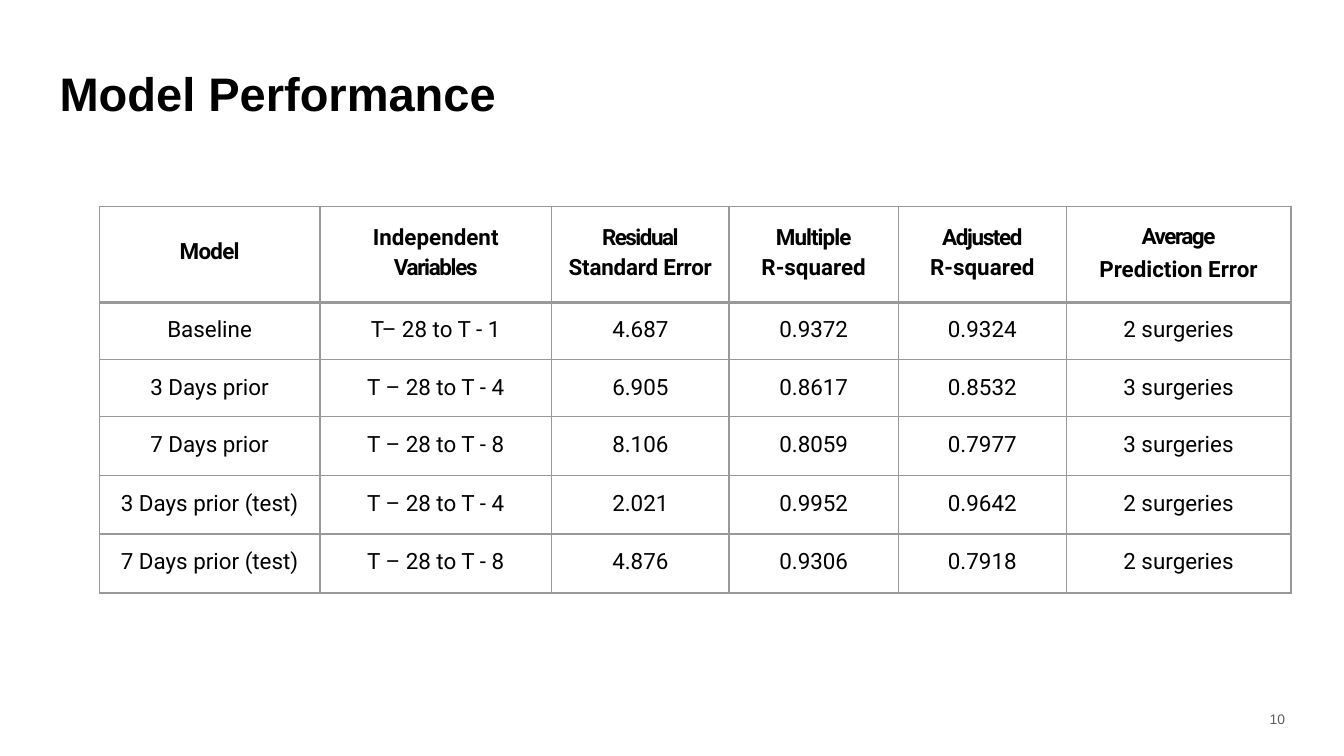
from pptx import Presentation
from pptx.dml.color import RGBColor
from pptx.enum.text import MSO_ANCHOR as Anchor, PP_ALIGN as Align
from pptx.oxml import parse_xml
from pptx.oxml.ns import nsdecls
from pptx.util import Inches, Pt

BLACK = RGBColor(0x00, 0x00, 0x00)
GRAY = RGBColor(0x5D, 0x5D, 0x5D)
BORDER = RGBColor(0x99, 0x99, 0x99)

COLUMNS = [16.4, 17.25, 13.2, 12.6, 12.5, 16.7]
ROWS = [7.15, 4.25, 4.25, 4.38, 4.38, 4.38]
HEADERS = [
    [("Model", -0.4)],
    [("Independent", 0), ("Variables", -0.7)],
    [("Residual", -0.8), ("Standard Error", -0.1)],
    [("Multiple", -0.5), ("R-squared", 0)],
    [("Adjusted", -0.7), ("R-squared", 0)],
    [("Average", -0.8), ("Prediction Error", 0)],
]
RESULTS = [
    ["Baseline", "T– 28 to T - 1", "4.687", "0.9372", "0.9324", "2 surgeries"],
    ["3 Days prior", "T – 28 to T - 4", "6.905", "0.8617", "0.8532", "3 surgeries"],
    ["7 Days prior", "T – 28 to T - 8", "8.106", "0.8059", "0.7977", "3 surgeries"],
    ["3 Days prior (test)", "T – 28 to T - 4", "2.021", "0.9952", "0.9642", "2 surgeries"],
    ["7 Days prior (test)", "T – 28 to T - 8", "4.876", "0.9306", "0.7918", "2 surgeries"],
]


def grid(units):
    return Inches(units / 10)


def write(paragraph, text, font="Roboto", size=12, color=BLACK, bold=False,
          align=Align.CENTER, tracking=0):
    paragraph.alignment = align
    run = paragraph.add_run()
    run.text = text
    run.font.name = font
    run.font.size = Pt(size)
    run.font.bold = bold
    run.font.color.rgb = color
    if tracking:
        run.font._element.set("spc", str(round(tracking * 100)))


def add_text(slide, text, left, top, width, height, **text_format):
    box = slide.shapes.add_textbox(*map(grid, (left, top, width, height)))
    frame = box.text_frame
    frame.word_wrap = True
    frame.vertical_anchor = Anchor.MIDDLE
    frame.margin_left = frame.margin_right = grid(1)
    frame.margin_top = frame.margin_bottom = grid(1)
    write(frame.paragraphs[0], text, font="Arial", **text_format)


def style_cell(cell, top_margin, top_line=1, bottom_line=1):
    cell.margin_left = cell.margin_right = cell.margin_bottom = 0
    cell.margin_top = grid(top_margin)
    cell.vertical_anchor = Anchor.TOP
    cell.fill.background()
    properties = cell._tc.get_or_add_tcPr()
    widths = {"lnL": 1, "lnR": 1, "lnT": top_line, "lnB": bottom_line}
    for position, (side, width) in enumerate(widths.items()):
        properties.insert(position, parse_xml(
            f'<a:{side} {nsdecls("a")} w="{Pt(width)}"><a:solidFill>'
            f'<a:srgbClr val="{BORDER}"/></a:solidFill></a:{side}>'))


def fill_header(cell, lines, top_margin=1.05, line_spacing=1.15):
    style_cell(cell, top_margin, bottom_line=2.25)
    paragraph = cell.text_frame.paragraphs[0]
    paragraph.line_spacing = line_spacing
    for index, (text, tracking) in enumerate(lines):
        if index:
            paragraph.add_line_break()
        write(paragraph, text, bold=True, tracking=tracking)


def add_results_table(slide, left, top):
    table = slide.shapes.add_table(
        len(ROWS), len(COLUMNS), grid(left), grid(top),
        grid(sum(COLUMNS)), grid(sum(ROWS))).table
    table.first_row = table.horz_banding = False
    for column, width in zip(table.columns, COLUMNS):
        column.width = grid(width)
    for row, height in zip(table.rows, ROWS):
        row.height = grid(height)
    special = {0: (2.4, 1.0), len(HEADERS) - 1: (0.75, 1.27)}
    for index, lines in enumerate(HEADERS):
        fill_header(table.cell(0, index), lines, *special.get(index, ()))
    for row_index, values in enumerate(RESULTS, start=1):
        for column_index, value in enumerate(values):
            cell = table.cell(row_index, column_index)
            style_cell(cell, 1.1, top_line=2.25 if row_index == 1 else 1)
            write(cell.text_frame.paragraphs[0], value)


def main():
    presentation = Presentation()
    presentation.slide_width = Inches(10)
    presentation.slide_height = presentation.slide_width * 9 // 16
    slide = presentation.slides.add_slide(presentation.slide_layouts[6])
    add_text(slide, "Model Performance", 3.45, 3.75, 89.1, 6.3,
             size=25.2, bold=True, align=Align.LEFT)
    add_results_table(slide, 7.4, 15.35)
    add_text(slide, "10", 92.6, 52, 4, 3, size=7.4, color=GRAY, align=Align.RIGHT)
    presentation.save("out.pptx")


if __name__ == "__main__":
    main()
